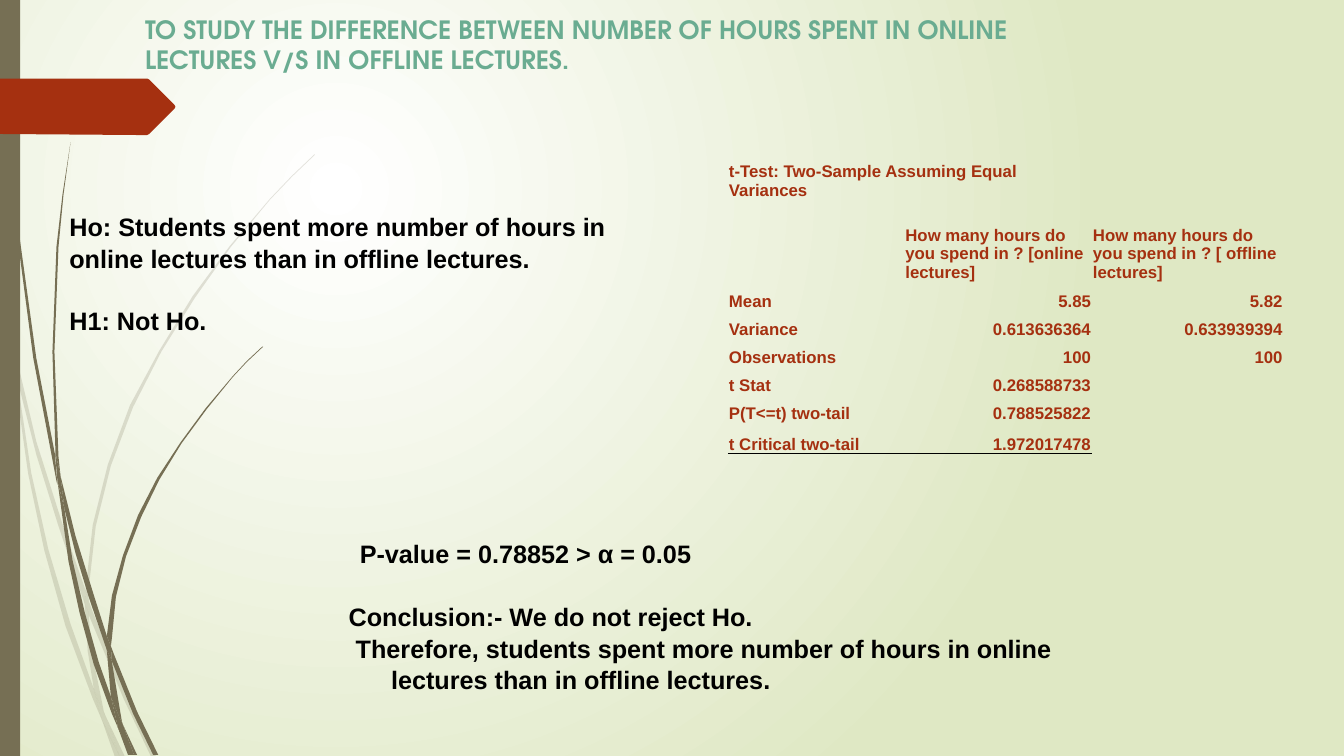
from lxml import etree
from pptx import Presentation
from pptx.dml.color import RGBColor
from pptx.enum.shapes import MSO_SHAPE
from pptx.enum.text import MSO_ANCHOR, PP_ALIGN
from pptx.oxml.ns import qn
from pptx.util import Inches, Pt

RECTANGLE = MSO_SHAPE.RECTANGLE
TOP, BOTTOM = MSO_ANCHOR.TOP, MSO_ANCHOR.BOTTOM
LEFT, RIGHT = PP_ALIGN.LEFT, PP_ALIGN.RIGHT

WHITE = RGBColor(0xFF, 0xFF, 0xFF)
BLACK = RGBColor(0x00, 0x00, 0x00)
PALE_GREEN = RGBColor(0xDF, 0xE8, 0xC4)
OLIVE = RGBColor(0x76, 0x6F, 0x54)
RUST = RGBColor(0xA5, 0x30, 0x10)
TEAL = RGBColor(0x6A, 0xAC, 0x91)

BODY_FONT = "Arial"
TITLE_FONT = "TeX Gyre Adventor"
NO_GRID_STYLE = "{2D5ABB26-0587-4C30-8999-92F81FD0307C}"

# Outlines of the grass blades, in hundredths of an inch
FAINT_BLADES = [
    [(11, 350), (9, 322), (0, 282), (0, 299), (10, 344)],
    [(58, 522), (84, 599), (85, 586), (62, 520), (36, 438), (14, 345),
     (17, 376), (36, 451)],
    [(92, 607), (88, 596), (88, 610), (123, 694), (150, 751), (155, 751),
     (127, 692)],
    [(119, 751), (124, 751), (105, 711)],
    [(93, 683), (70, 619), (48, 545), (31, 469), (17, 376), (11, 350),
     (28, 470), (44, 546), (65, 621), (92, 693), (101, 714), (99, 707)],
    [(84, 599), (87, 646), (93, 683), (96, 692), (105, 711), (103, 706),
     (91, 646), (88, 610), (88, 608)],
    [(88, 584), (95, 522), (110, 462), (132, 404), (160, 349), (193, 296),
     (229, 245), (268, 198), (290, 175), (312, 154), (312, 153), (289, 175),
     (268, 197), (228, 244), (191, 294), (158, 348), (129, 402), (107, 461),
     (92, 521), (85, 584), (85, 586), (88, 596)],
    [(101, 714), (114, 751), (119, 751)],
    [(88, 608), (88, 610), (88, 596), (85, 586), (84, 599)],
    [(96, 692), (93, 683), (99, 707), (101, 714), (119, 751), (105, 711)],
]
DARK_BLADES = [
    [(7, 110), (17, 233), (33, 355), (56, 477), (57, 481), (55, 457),
     (55, 453), (36, 355), (19, 232), (8, 109), (5, 48), (4, 0), (3, 0),
     (4, 48)],
    [(88, 592), (106, 645), (106, 633), (106, 631), (93, 590), (75, 532),
     (60, 472), (64, 505), (75, 549)],
    [(113, 649), (110, 641), (111, 656), (132, 708), (152, 749), (157, 749),
     (136, 706)],
    [(110, 691), (98, 657), (84, 607), (72, 556), (64, 505), (57, 477),
     (68, 557), (79, 608), (93, 659), (111, 708), (117, 722), (116, 717)],
    [(60, 472), (58, 453), (54, 349), (58, 245), (63, 193), (70, 141),
     (62, 193), (56, 245), (52, 349), (55, 449)],
    [(133, 749), (136, 749), (122, 719)],
    [(57, 477), (64, 505), (60, 472), (55, 449), (55, 453)],
    [(111, 633), (115, 592), (125, 552), (140, 513), (158, 476), (180, 440),
     (205, 406), (231, 374), (245, 359), (261, 344), (260, 344), (245, 358),
     (231, 373), (204, 405), (179, 439), (156, 474), (137, 511), (122, 551),
     (111, 591), (106, 631), (110, 641)],
    [(117, 722), (127, 749), (131, 749)],
    [(106, 645), (110, 691), (116, 706), (122, 719), (121, 716), (111, 656),
     (109, 651)],
    [(106, 645), (109, 651), (111, 656), (110, 641), (106, 631), (106, 633)],
    [(116, 706), (110, 691), (116, 717), (117, 722), (130, 749), (133, 749),
     (122, 719)],
]
ARROW_TAG = [(173, 108), (148, 133), (146, 134), (136, 134), (0, 133), (0, 78),
             (136, 78), (146, 78), (148, 79), (173, 104), (174, 106)]

T_TEST_ROWS = [
    ("t-Test: Two-Sample Assuming Equal Variances", "", ""),
    ("", "", ""),
    ("", "How many hours do you spend in ? [online lectures]",
     "How many hours do you spend in ? [ offline lectures]"),
    ("Mean", "5.85", "5.82"),
    ("Variance", "0.613636364", "0.633939394"),
    ("Observations", "100", "100"),
    ("t Stat", "0.268588733", ""),
    ("P(T<=t) two-tail", "0.788525822", ""),
    ("t Critical two-tail", "1.972017478", ""),
]
COLUMN_WIDTHS = [1.75, 1.86, 1.9]
ROW_HEIGHTS = [0.41, 0.21, 0.61] + [0.28] * 5 + [0.3]
FIRST_VALUE_ROW = 3


class SlideBuilder:
    def __init__(self, slide):
        self.slide = slide

    def background(self, inner, outer):
        fill = self.slide.background.fill
        fill.gradient()
        for stop, color in zip(fill.gradient_stops, (inner, outer)):
            stop.color.rgb = color
        gradient = self.slide.element.find(".//" + qn("a:gradFill"))
        gradient.remove(gradient.find(qn("a:lin")))
        circle = etree.SubElement(gradient, qn("a:path"), path="circle")
        etree.SubElement(circle, qn("a:fillToRect"),
                         l="50000", t="50000", r="100000", b="100000")

    def paint(self, shape, color, opacity=100):
        shape.shadow.inherit = False
        shape.fill.solid()
        shape.fill.fore_color.rgb = color
        shape.line.fill.background()
        if opacity < 100:
            color_element = shape.element.spPr.find(".//" + qn("a:srgbClr"))
            etree.SubElement(color_element, qn("a:alpha"), val=str(opacity * 1000))

    def outline(self, points, color, opacity=100):
        builder = self.slide.shapes.build_freeform(*points[0], scale=Inches(0.01))
        builder.add_line_segments(points[1:], close=True)
        self.paint(builder.convert_to_shape(), color, opacity)

    def bar(self, left, top, width, height, color):
        shape = self.slide.shapes.add_shape(
            RECTANGLE, Inches(left), Inches(top), Inches(width), Inches(height))
        self.paint(shape, color)

    def format_text(self, paragraph, size, color, font=BODY_FONT):
        for run in paragraph.runs:
            run.font.name = font
            run.font.size = Pt(size)
            run.font.bold = True
            run.font.color.rgb = color

    def text(self, left, top, width, height, lines, color=BLACK,
             font=BODY_FONT, spacing=1.05):
        """Each line is (text, left indent in inches, space before in points)."""
        box = self.slide.shapes.add_textbox(
            Inches(left), Inches(top), Inches(width), Inches(height))
        frame = box.text_frame
        frame.word_wrap = True
        frame.vertical_anchor = TOP
        for index, (line, indent, space_before) in enumerate(lines):
            paragraph = frame.paragraphs[0] if index == 0 else frame.add_paragraph()
            paragraph.text = line
            paragraph.line_spacing = spacing
            if space_before:
                paragraph.space_before = Pt(space_before)
            if indent:
                paragraph._p.get_or_add_pPr().set("marL", str(Inches(indent)))
            self.format_text(paragraph, 18, color, font)

    def cell(self, cell, text, alignment):
        cell.fill.background()
        cell.margin_left = cell.margin_right = cell.margin_top = Inches(0.01)
        cell.margin_bottom = 0
        cell.vertical_anchor = BOTTOM
        paragraph = cell.text_frame.paragraphs[0]
        if text:
            paragraph.text = text
            paragraph.alignment = alignment
            self.format_text(paragraph, 12, RUST)
        else:
            paragraph._p.get_or_add_endParaRPr().set("sz", "1200")

    def underline(self, cell, color):
        border = etree.Element(qn("a:lnB"), w=str(Pt(1)))
        fill = etree.SubElement(border, qn("a:solidFill"))
        etree.SubElement(fill, qn("a:srgbClr"), val=str(color))
        cell._tc.get_or_add_tcPr().insert(0, border)

    def table(self, left, top, rows, widths, heights):
        table = self.slide.shapes.add_table(
            len(rows), len(widths), Inches(left), Inches(top),
            Inches(sum(widths)), Inches(sum(heights))).table
        table.first_row = table.horz_banding = False
        table._tbl.find(".//" + qn("a:tableStyleId")).text = NO_GRID_STYLE
        for column, width in zip(table.columns, widths):
            column.width = Inches(width)
        for row, height in zip(table.rows, heights):
            row.height = Inches(height)
        for r, values in enumerate(rows):
            for c, value in enumerate(values):
                is_number = r >= FIRST_VALUE_ROW and c > 0
                self.cell(table.cell(r, c), value, RIGHT if is_number else LEFT)
        table.cell(0, 0).merge(table.cell(0, 1))
        for c in range(2):
            self.underline(table.cell(len(rows) - 1, c), color=BLACK)


def main():
    presentation = Presentation()
    presentation.slide_width, presentation.slide_height = Inches(13.33), Inches(7.5)
    builder = SlideBuilder(presentation.slides.add_slide(presentation.slide_layouts[6]))

    # Backdrop: grass blades, side bar and arrow tag
    builder.background(WHITE, PALE_GREEN)
    for blade in FAINT_BLADES:
        builder.outline(blade, OLIVE, opacity=20)
    for blade in DARK_BLADES:
        builder.outline(blade, OLIVE)
    builder.bar(0, 0, 0.2, 7.5, OLIVE)
    builder.outline(ARROW_TAG, RUST)

    # Title
    builder.text(1.34, 0.09, 9.75, 0.94, [
        ("TO STUDY THE DIFFERENCE BETWEEN NUMBER OF HOURS SPENT IN ONLINE "
         "LECTURES V/S IN OFFLINE LECTURES.", 0, 0)], TEAL, TITLE_FONT, spacing=1)

    # Hypotheses
    builder.text(0.59, 2.03, 5.63, 2.22, [
        ("Ho: Students spent more number of hours in online lectures than in "
         "offline lectures.", 0, 0),
        ("H1: Not Ho.", 0, 22)])

    # Conclusion
    builder.text(3.09, 5.28, 8.27, 1.65, [
        ("P-value = 0.78852 > α = 0.05", 0.38, 0),
        ("Conclusion:- We do not reject Ho.", 0.27, 22),
        ("Therefore, students spent more number of hours in online", 0.34, 0),
        ("lectures than in offline lectures.", 0.69, 0)])

    # Test results
    builder.table(7.22, 1.57, T_TEST_ROWS, COLUMN_WIDTHS, ROW_HEIGHTS)
    presentation.save("out.pptx")


if __name__ == "__main__":
    main()
